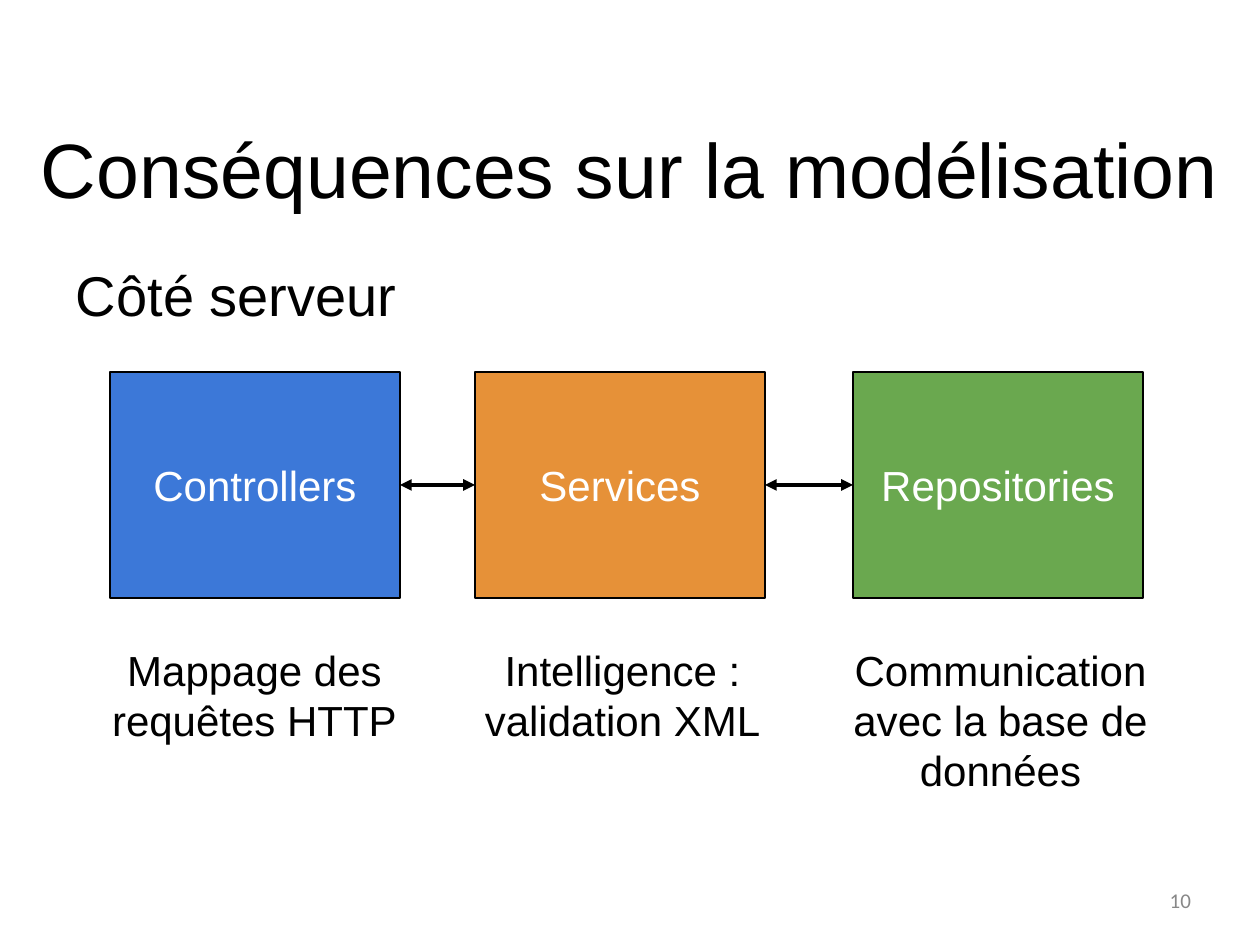
import pptx
import pptx.util
import pptx.dml.color
import pptx.enum.shapes
import pptx.enum.text
import pptx.oxml.ns
import lxml.etree

PIXEL = 914400 // 126
COLORS = {"black": "000000", "white": "FFFFFF", "grey": "888888",
          "blue": "3C78D8", "orange": "E69138", "green": "6AA84F"}
ALIGN = pptx.enum.text.PP_ALIGN
ANCHOR = pptx.enum.text.MSO_ANCHOR


def color(name):
    return pptx.dml.color.RGBColor.from_string(COLORS[name])


def write(shape, text, size, ink="black", align=ALIGN.CENTER,
          anchor=ANCHOR.TOP, inset=(13, 13), font="Arial"):
    frame = shape.text_frame
    frame.text = text
    frame.word_wrap = True
    frame.auto_size = pptx.enum.text.MSO_AUTO_SIZE.NONE
    frame.vertical_anchor = anchor
    frame.margin_left = frame.margin_right = inset[0] * PIXEL
    frame.margin_top = frame.margin_bottom = inset[1] * PIXEL
    paragraph = frame.paragraphs[0]
    paragraph.alignment = align
    paragraph.font.name = font
    paragraph.font.size = pptx.util.Pt(size)
    paragraph.font.color.rgb = color(ink)


presentation = pptx.Presentation()
presentation.slide_width = pptx.util.Inches(10)
presentation.slide_height = pptx.util.Inches(7.5)
slide = presentation.slides.add_slide(presentation.slide_layouts[5])
shapes = slide.shapes

# Title
title = shapes.title
title.left, title.top, title.width, title.height = [
    length * PIXEL for length in (0, 115, 1260, 105)]
write(title, "Conséquences sur la modélisation", 44,
      anchor=ANCHOR.MIDDLE, inset=(13, 6))

# Subtitle and slide number
subtitle = shapes.add_textbox(*[length * PIXEL for length in (63, 255, 1134, 358)])
write(subtitle, "Côté serveur", 32, align=ALIGN.LEFT, inset=(13, 6))
number = shapes.add_textbox(*[length * PIXEL for length in (1160, 882, 37, 37)])
write(number, "10", 12, "grey", ALIGN.RIGHT, ANCHOR.MIDDLE, (6, 6), "Calibri")

# Layers with their captions
BOX_TOP, BOX_WIDTH, BOX_HEIGHT = 372, 290, 226
layers = [
    (110, "Controllers", "blue", "Mappage des requêtes HTTP", 315),
    (475, "Services", "orange", "Intelligence : validation XML", 321),
    (853, "Repositories", "green", "Communication avec la base de données", 321),
]
boxes = []
for left, name, fill, caption_text, caption_width in layers:
    box = shapes.add_shape(
        pptx.enum.shapes.MSO_SHAPE.RECTANGLE,
        left * PIXEL, BOX_TOP * PIXEL, BOX_WIDTH * PIXEL, BOX_HEIGHT * PIXEL)
    box.shadow.inherit = False
    box.fill.solid()
    box.fill.fore_color.rgb = color(fill)
    box.line.color.rgb = color("black")
    box.line.width = pptx.util.Pt(0.75)
    write(box, name, 24, "white", anchor=ANCHOR.MIDDLE)
    boxes.append(box)
    caption = shapes.add_textbox((left - 13) * PIXEL, 631 * PIXEL,
                                 caption_width * PIXEL, 186 * PIXEL)
    write(caption, caption_text, 24)

# Double arrows between neighbouring layers
for start, end in zip(boxes, boxes[1:]):
    arrow = shapes.add_connector(
        pptx.enum.shapes.MSO_CONNECTOR.STRAIGHT, 0, 0, 0, 0)
    arrow.begin_connect(start, 3)
    arrow.end_connect(end, 1)
    arrow.line.color.rgb = color("black")
    arrow.line.width = pptx.util.Pt(2.25)
    line = arrow.line._get_or_add_ln()
    for tag in ("a:headEnd", "a:tailEnd"):
        lxml.etree.SubElement(line, pptx.oxml.ns.qn(tag), type="triangle")
    lxml.etree.SubElement(arrow._element.spPr, pptx.oxml.ns.qn("a:effectLst"))

presentation.save("out.pptx")
